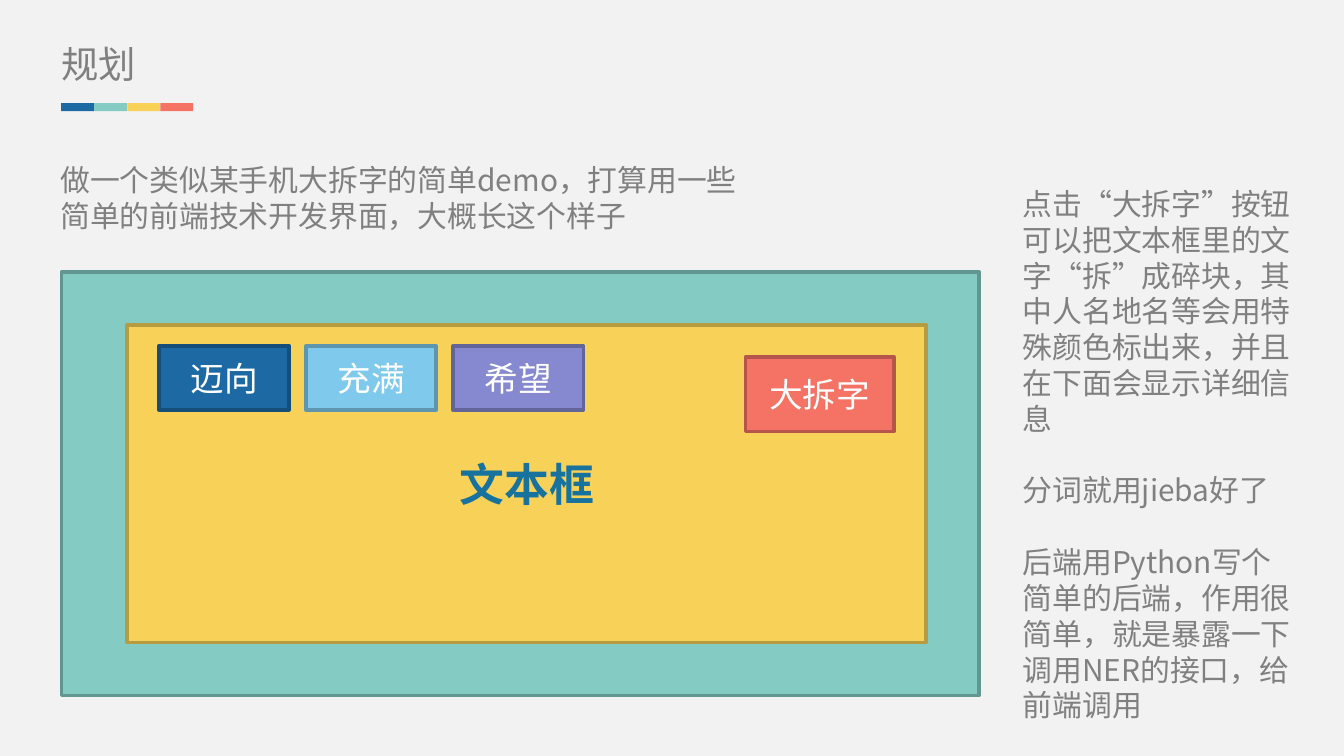
import dataclasses

import pptx
import pptx.dml.color
import pptx.enum.shapes
import pptx.enum.text
import pptx.oxml.ns
import pptx.util
import lxml.etree

Pt = pptx.util.Pt
Align = pptx.enum.text.PP_ALIGN
Anchor = pptx.enum.text.MSO_ANCHOR


@dataclasses.dataclass(frozen=True)
class Theme:
    background: str = "F2F2F2"
    text: str = "808080"
    white: str = "FFFFFF"
    heading: str = "17739E"
    blue: str = "1D69A3"
    blue_edge: str = "154E79"
    teal: str = "84CBC3"
    teal_edge: str = "629690"
    yellow: str = "F8D158"
    yellow_edge: str = "B79B41"
    red: str = "F57365"
    red_edge: str = "B5554B"
    sky: str = "7FC9EC"
    sky_edge: str = "5E95AF"
    violet: str = "8689D0"
    violet_edge: str = "63659A"
    font: str = "Noto Sans CJK SC"
    button_font: str = "Calibri"
    title_size: float = 20
    body_size: float = 16
    button_size: float = 18
    heading_size: float = 24
    line_height: float = 1.2
    edge_width: float = 2


def rgb(value):
    return pptx.dml.color.RGBColor.from_string(value)


class SlideBuilder:
    def __init__(self, slide, theme):
        self.slide = slide
        self.theme = theme
        fill = slide.background.fill
        fill.solid()
        fill.fore_color.rgb = rgb(theme.background)

    def run(self, paragraph, text, size, color, font_name, bold=False):
        run = paragraph.add_run()
        run.text = text
        font = run.font
        font.size, font.bold, font.name = Pt(size), bold, font_name
        font.color.rgb = rgb(color)
        latin = run._r.rPr.find(pptx.oxml.ns.qn("a:latin"))
        east_asian = lxml.etree.Element(pptx.oxml.ns.qn("a:ea"), typeface=self.theme.font)
        latin.addnext(east_asian)

    def place(self, shape, left, top, width, height):
        shape.left, shape.top = Pt(left), Pt(top)
        shape.width, shape.height = Pt(width), Pt(height)

    def fill_placeholder(self, shape, box, texts, size):
        theme = self.theme
        self.place(shape, *box)
        frame = shape.text_frame
        frame.word_wrap = True
        frame.auto_size = pptx.enum.text.MSO_AUTO_SIZE.NONE
        frame.vertical_anchor = Anchor.TOP
        line = size * theme.line_height
        for index, text in enumerate(texts):
            paragraph = frame.add_paragraph() if index else frame.paragraphs[0]
            properties = paragraph._p.get_or_add_pPr()
            properties.set("marL", "0")
            properties.set("indent", "0")
            lxml.etree.SubElement(properties, pptx.oxml.ns.qn("a:buNone"))
            paragraph.alignment = Align.LEFT
            paragraph.line_spacing = Pt(line)
            paragraph.space_before = Pt(line if index else 0)
            self.run(paragraph, text, size, theme.text, theme.font)
        return frame

    def title(self, box, text):
        frame = self.fill_placeholder(
            self.slide.shapes.title, box, [text], self.theme.title_size)
        frame.margin_left = frame.margin_right = 0
        frame.margin_top = frame.margin_bottom = 0

    def body(self, index, box, texts):
        self.fill_placeholder(
            self.slide.placeholders[index], box, texts, self.theme.body_size)

    def rectangle(self, box, fill, edge=None):
        shape = self.slide.shapes.add_shape(
            pptx.enum.shapes.MSO_SHAPE.RECTANGLE, *map(Pt, box))
        shape.shadow.inherit = False
        shape.fill.solid()
        shape.fill.fore_color.rgb = rgb(fill)
        if edge:
            shape.line.color.rgb = rgb(edge)
            shape.line.width = Pt(self.theme.edge_width)
        else:
            shape.line.fill.background()
        return shape

    def label(self, shape, text, size, color, font_name, bold=False):
        frame = shape.text_frame
        frame.word_wrap = True
        frame.vertical_anchor = Anchor.MIDDLE
        paragraph = frame.paragraphs[0]
        paragraph.alignment = Align.CENTER
        self.run(paragraph, text, size, color, font_name, bold)

    def button(self, box, text, fill, edge):
        theme = self.theme
        self.label(self.rectangle(box, fill, edge), text,
                   theme.button_size, theme.white, theme.button_font)


def main():
    theme = Theme()
    presentation = pptx.Presentation()
    presentation.slide_width, presentation.slide_height = Pt(720), Pt(405)
    slide = presentation.slides.add_slide(presentation.slide_layouts[3])
    builder = SlideBuilder(slide, theme)

    builder.title((33, 22, 219, 24.5), "规划")
    for column, color in enumerate((theme.blue, theme.teal, theme.yellow, theme.red)):
        builder.rectangle((32.8 + column * 17.7, 55.2, 17.7, 4.4), color)

    builder.body(1, (25.2, 83.2, 391, 46), [
        "做一个类似某手机大拆字的简单demo，打算用一些简单的前端技术开发界面，大概长这个样子",
    ])
    builder.body(2, (540.7, 95.8, 160, 278.6), [
        "点击“大拆字”按钮可以把文本框里的文字“拆”成碎块，其中人名地名等会用特殊颜色标出来，并且在下面会显示详细信息",
        "分词就用jieba好了",
        "后端用Python写个简单的后端，作用很简单，就是暴露一下调用NER的接口，给前端调用",
    ])

    builder.rectangle((33, 145.8, 491.5, 226.8), theme.teal, theme.teal_edge)
    text_area = builder.rectangle((68.2, 174.2, 428, 170), theme.yellow, theme.yellow_edge)
    builder.label(text_area, "文本框", theme.heading_size, theme.heading, theme.font, True)
    builder.button((399.4, 191.2, 79.5, 40), "大拆字", theme.red, theme.red_edge)

    words = (
        ("迈向", theme.blue, theme.blue_edge),
        ("充满", theme.sky, theme.sky_edge),
        ("希望", theme.violet, theme.violet_edge),
    )
    for column, (word, fill, edge) in enumerate(words):
        builder.button((85 + column * 78.8, 185.5, 70, 34), word, fill, edge)

    presentation.save("out.pptx")


if __name__ == "__main__":
    main()
